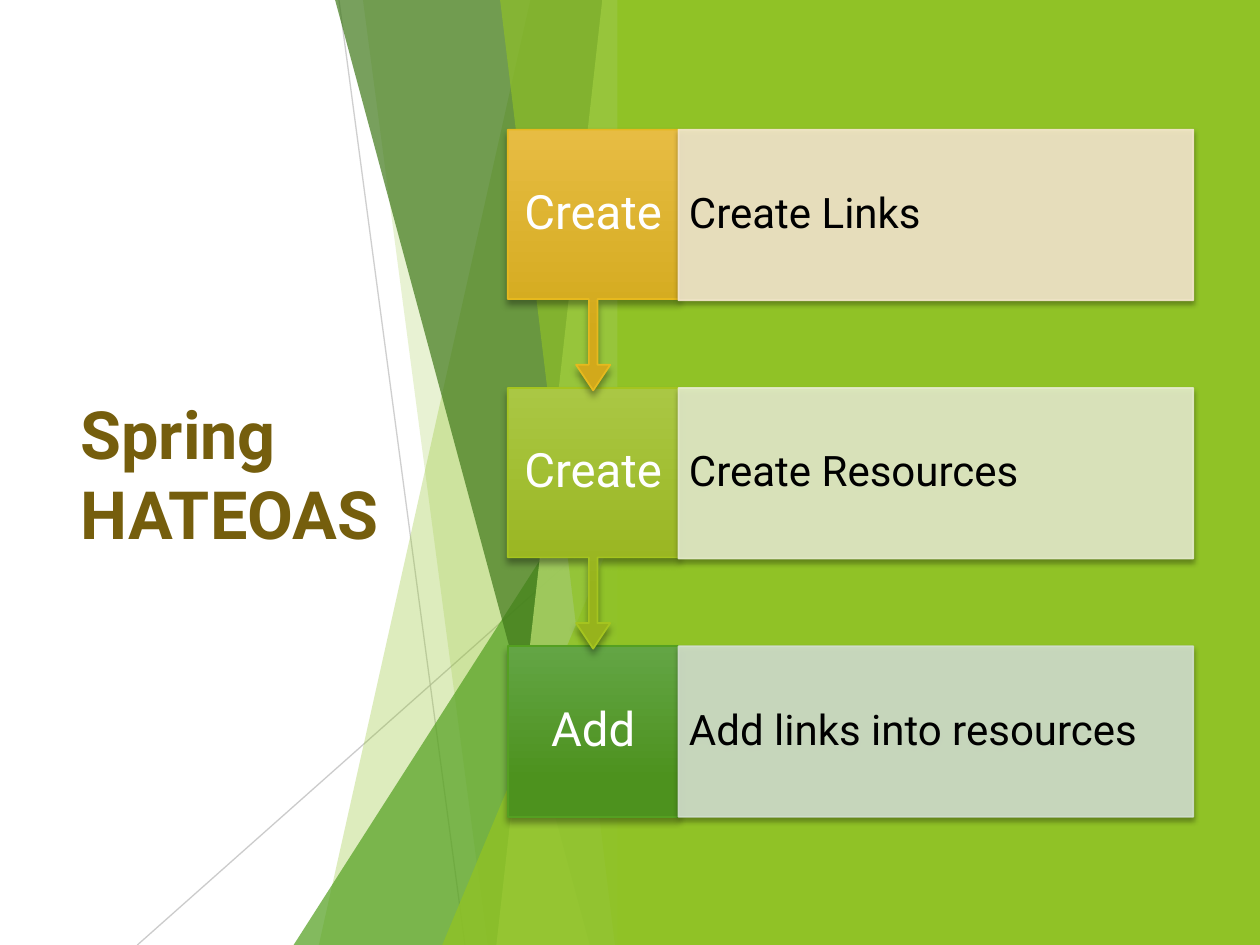
from lxml import etree
from pptx import Presentation
from pptx.dml.color import RGBColor
from pptx.enum.shapes import MSO_CONNECTOR, MSO_SHAPE
from pptx.enum.text import MSO_ANCHOR, PP_ALIGN
from pptx.oxml.ns import qn
from pptx.util import Pt

RECTANGLE = MSO_SHAPE.RECTANGLE
TRIANGLE = MSO_SHAPE.ISOSCELES_TRIANGLE
CALLOUT = MSO_SHAPE.DOWN_ARROW_CALLOUT
STRAIGHT = MSO_CONNECTOR.STRAIGHT
MIDDLE = MSO_ANCHOR.MIDDLE
LEFT = PP_ALIGN.LEFT
CENTER = PP_ALIGN.CENTER

FONT = "Roboto"
LIME = "90C226"
STEPS = [
    ("Create", "Create Links", ("E7BC43", "D2A91B"), "E6B91E", "F5E7CD"),
    ("Create", "Create Resources", ("AAC744", "97B31C"), "A5C41F", "E5ECCB"),
    ("Add", "Add links into resources", ("63A545", "4D921E"), "54A021", "D1DFCD"),
]
FACETS = [
    ("slab", 303.1, 182.2, LIME, 30),
    ("slab", 207.4, 278.6, LIME, 20),
    ("wedge", 167.8, 239.8, "54A021", 72),
    ("slab", 191.5, 337, "3F7819", 70),
    ("slab", 344.2, 283.7, "C0E474", 70),
    ("slab", 285.8, 351.4, LIME, 65),
    ("wedge", 252.7, 283, LIME, 80),
]
RAYS = [(193.7, 0, 265.7, 540, 75), (360, 290.2, 78.5, 540, 80)]


def color(value):
    return RGBColor.from_string(value)


def set_alpha(fill_owner, percent):
    for node in fill_owner.iter(qn("a:srgbClr")):
        etree.SubElement(node, qn("a:alpha"), val=str(percent * 1000))


def fill_solid(shape, value, percent=100):
    shape.shadow.inherit = False
    shape.fill.solid()
    shape.fill.fore_color.rgb = color(value)
    shape.line.fill.background()
    if percent < 100:
        set_alpha(shape._element.spPr, percent)


def outline(shape, value):
    shape.line.color.rgb = color(value)
    shape.line.width = Pt(1)


def drop_shadow(shape, blur, distance):
    shape.shadow.inherit = False
    effects = shape._element.spPr.find(qn("a:effectLst"))
    shadow = etree.SubElement(
        effects, qn("a:outerShdw"), blurRad=str(Pt(blur)), dist=str(Pt(distance)),
        dir="5400000", rotWithShape="0")
    shade = etree.SubElement(shadow, qn("a:srgbClr"), val="000000")
    etree.SubElement(shade, qn("a:alpha"), val="35000")


def add_box(page, kind, box):
    return page.shapes.add_shape(kind, *(Pt(length) for length in box))


def write(shape, text, size, value, align=LEFT, inset=7.2, spacing=0.9, bold=False):
    frame = shape.text_frame
    frame.word_wrap = True
    frame.vertical_anchor = MIDDLE
    frame.margin_left = frame.margin_right = Pt(inset)
    para = frame.paragraphs[0]
    para.alignment = align
    para.line_spacing = spacing
    span = para.add_run()
    span.text = text
    span.font.name = FONT
    span.font.size = Pt(size)
    span.font.bold = bold
    span.font.color.rgb = color(value)


def add_title(page, box):
    title = page.shapes.add_textbox(*(Pt(length) for length in box))
    write(title, "Spring HATEOAS", 38, "755E0D", spacing=1.0, bold=True)


def add_facets(page, box):
    left, top, width, height = box
    right, bottom = left + width, top + height
    for x1, y1, x2, y2, percent in RAYS:
        ray = page.shapes.add_connector(
            STRAIGHT, Pt(left + x1), Pt(top + y1), Pt(left + x2), Pt(top + y2))
        ray.line.color.rgb = color("BFBFBF")
        ray.line.width = Pt(0.75)
        set_alpha(ray._element.spPr, percent)
        etree.SubElement(ray._element.spPr, qn("a:effectLst"))
    for kind, first, second, value, percent in FACETS:
        if kind == "wedge":
            facet = add_box(page, TRIANGLE, (
                left + first, top + second, width - first, height - second))
            facet.adjustments[0] = 1
        else:
            corners = [(right, top), (right, bottom), (left + second, bottom)]
            builder = page.shapes.build_freeform(Pt(left + first), Pt(top))
            builder.add_line_segments([(Pt(x), Pt(y)) for x, y in corners])
            facet = builder.convert_to_shape()
        fill_solid(facet, value, percent)


def add_step(page, box, step, arrow):
    left, top, width, height = box
    label, detail, shades, edge, tint = step
    if arrow:
        marker = add_box(page, CALLOUT, (left, top, height, 149))
        for index, ratio in enumerate((0.05, 0.1, 0.15, 0.65)):
            marker.adjustments[index] = ratio
    else:
        marker = add_box(page, RECTANGLE, (left, top, height, height))
    marker.fill.gradient()
    marker.fill.gradient_angle = 270
    for stop, shade, position in zip(marker.fill.gradient_stops, shades, (0, 0.78)):
        stop.color.rgb = color(shade)
        stop.position = position
    outline(marker, edge)
    drop_shadow(marker, 4, 3)
    write(marker, label, 27, "FFFFFF", CENTER)

    panel = add_box(page, RECTANGLE, (left + height, top, width - height, height))
    fill_solid(panel, tint)
    outline(panel, tint)
    set_alpha(panel._element.spPr, 90)
    drop_shadow(panel, 3, 2)
    write(panel, detail, 24, "000000", inset=6)


def add_steps(page, box):
    left, top, width, height = box
    row_height = 97.5
    pitch = (height - row_height) / (len(STEPS) - 1)
    last = len(STEPS) - 1
    for index in range(last, -1, -1):
        row = (left, top + index * pitch, width, row_height)
        add_step(page, row, STEPS[index], index < last)


def main():
    deck = Presentation()
    deck.slide_width, deck.slide_height = Pt(720), Pt(540)
    page = deck.slides.add_slide(deck.slide_layouts[6])
    add_title(page, (38.9, 108.7, 209.5, 322.6))
    add_facets(page, (0, 0, 360, 540))
    fill_solid(add_box(page, RECTANGLE, (352.8, 0, 367.2, 540)), LIME)
    add_steps(page, (290.2, 74.1, 391.7, 392.7))
    deck.save("out.pptx")


if __name__ == "__main__":
    main()
